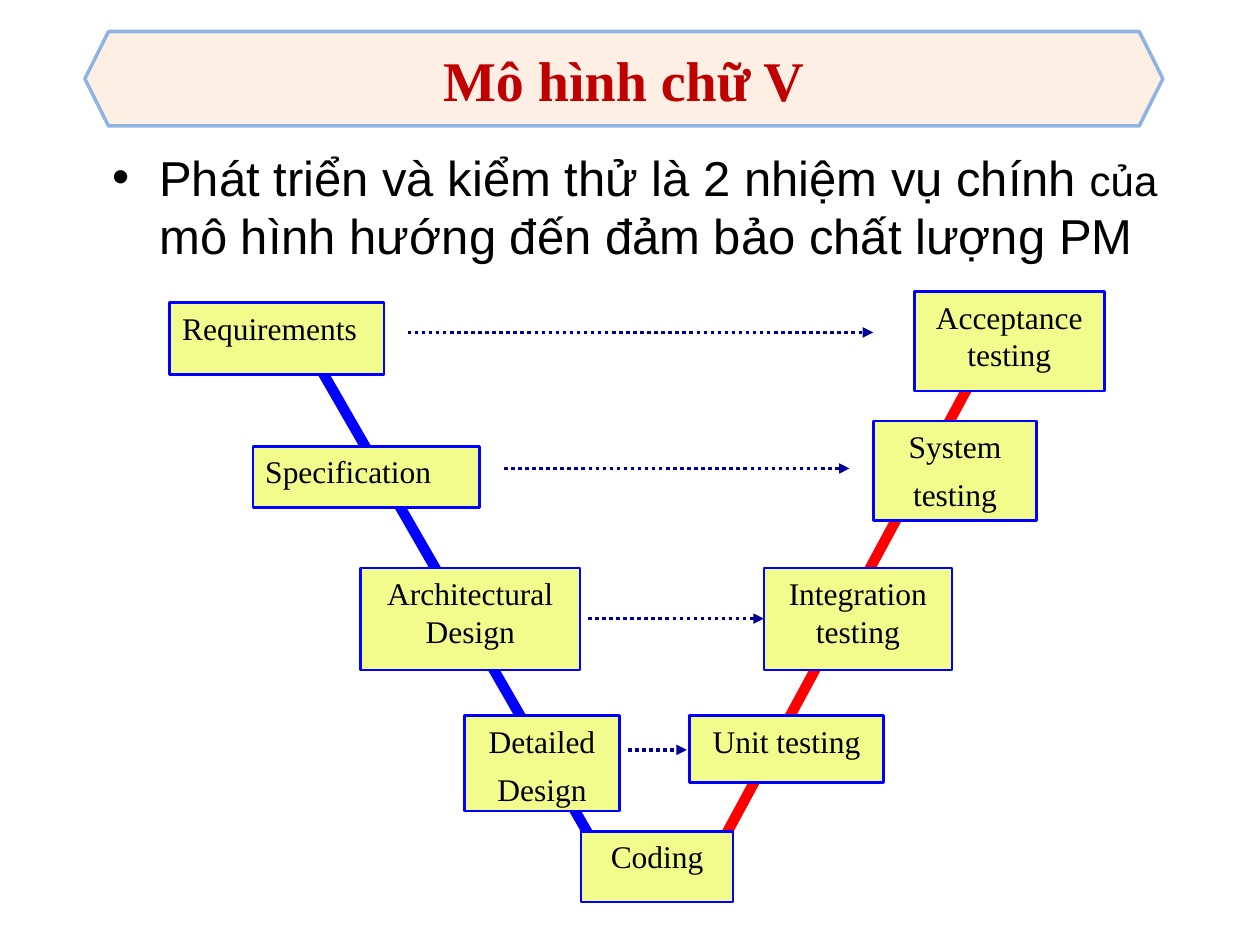
from pptx import Presentation
from pptx.dml.color import RGBColor
from pptx.enum.dml import MSO_LINE as Dash
from pptx.enum.shapes import MSO_CONNECTOR as Link, MSO_SHAPE as Kind
from pptx.enum.text import MSO_ANCHOR as Anchor, PP_ALIGN as Align
from pptx.oxml.ns import qn
from pptx.util import Pt
from lxml.etree import SubElement

BLACK = RGBColor(0x00, 0x00, 0x00)
RED = RGBColor(0xFF, 0x00, 0x00)
BLUE = RGBColor(0x00, 0x00, 0xFF)
NAVY = RGBColor(0x00, 0x00, 0x99)
LIME = RGBColor(0xF1, 0xFC, 0x8C)
CREAM = RGBColor(0xFD, 0xEF, 0xE3)
SKY = RGBColor(0x8E, 0xB4, 0xE3)
WINE = RGBColor(0xC0, 0x00, 0x00)

TITLE = "Mô hình chữ V"
BODY = [
    ("Phát triển và kiểm thử là 2 nhiệm vụ chính ", 28),
    ("của", 24),
    (" mô hình hướng đến đảm bảo chất lượng PM", 28),
]
LEGS = [
    ((401.8, 501), (570, 190), RED),
    ((162, 174), (354, 507.5), BLUE),
]
ARROWS = [
    (233, 499, 190),
    (288, 485.5, 267.7),
    (336, 436.5, 353.5),
    (359, 392.5, 428.5),
]
LEFT, MID = Align.LEFT, Align.CENTER
STEPS = [
    (["Requirements"], (97, 173, 122.5, 41), LEFT, 0),
    (["Specification"], (144.5, 255, 129.5, 35), LEFT, 0),
    (["Architectural", "Design"], (206, 324.5, 125.5, 58.5), MID, 0),
    (["Detailed", "Design"], (265.5, 409, 88.5, 54.5), MID, 6),
    (["Coding"], (332, 475, 87, 40.5), MID, 0),
    (["Unit testing"], (394, 409, 111, 38), MID, 0),
    (["Integration", "testing"], (436.5, 324.5, 107.5, 58.5), MID, 0),
    (["System", "testing"], (499, 240.5, 93.5, 57), MID, 6),
    (["Acceptance", "testing"], (522.5, 166.5, 108.5, 57), MID, 0),
]
SERIF = "Times New Roman"
HEAD = {"name": SERIF, "size": Pt(32), "bold": True}
LABEL = {"name": SERIF, "size": Pt(18)}


def style(item, form):
    for key, val in form.items():
        setattr(item, key, val)


def write(para, text, form, color):
    run = para.add_run()
    run.text = text
    style(run.font, form)
    run.font.color.rgb = color


def box(slide, kind, area, fill, edge, width, lines, form, color, align, gap, anchor):
    shape = slide.shapes.add_shape(kind, *map(Pt, area))
    shape.shadow.inherit = False
    shape.fill.solid()
    shape.fill.fore_color.rgb = fill
    shape.line.color.rgb = edge
    shape.line.width = Pt(width)
    frame = shape.text_frame
    style(frame, {"word_wrap": True, "vertical_anchor": anchor})
    for i, text in enumerate(lines):
        para = frame.add_paragraph() if i else frame.paragraphs[0]
        style(para, {"alignment": align, "space_before": Pt(gap)})
        write(para, text, form, color)


def link(slide, start, end, color, width):
    line = slide.shapes.add_connector(Link.STRAIGHT, *map(Pt, start + end))
    line.line.color.rgb = color
    line.line.width = Pt(width)
    SubElement(line._element.spPr, qn("a:effectLst"))
    return line


def arrow(slide, left, right, y):
    line = link(slide, (left, y), (right, y), NAVY, 2).line
    line.dash_style = Dash.ROUND_DOT
    SubElement(line._get_or_add_ln(), qn("a:tailEnd"), type="triangle")


def body(slide):
    frame = slide.shapes.add_textbox(*map(Pt, (57, 80.5, 648, 68.5))).text_frame
    frame.word_wrap = True
    para = frame.paragraphs[0]
    para.space_before = Pt(5.6)
    props = para._p.get_or_add_pPr()
    props.set("marL", str(Pt(27)))
    props.set("indent", str(Pt(-27)))
    SubElement(props, qn("a:buFont"), typeface="Arial")
    SubElement(props, qn("a:buChar"), char="•")
    for text, size in BODY:
        write(para, text, {"name": "Arial", "size": Pt(size)}, BLACK)


def main():
    deck = Presentation()
    style(deck, {"slide_width": Pt(720), "slide_height": Pt(540)})
    slide = deck.slides.add_slide(deck.slide_layouts[6])
    box(slide, Kind.HEXAGON, (48.5, 18, 616, 54), CREAM, SKY, 2,
        [TITLE], HEAD, WINE, MID, 0, Anchor.MIDDLE)
    for start, end, color in LEGS:
        link(slide, start, end, color, 6)
    for lines, area, align, gap in STEPS:
        box(slide, Kind.RECTANGLE, area, LIME, BLUE, 1.5,
            lines, LABEL, BLACK, align, gap, Anchor.TOP)
    for left, right, y in ARROWS:
        arrow(slide, left, right, y)
    body(slide)
    deck.save("out.pptx")


if __name__ == "__main__":
    main()
